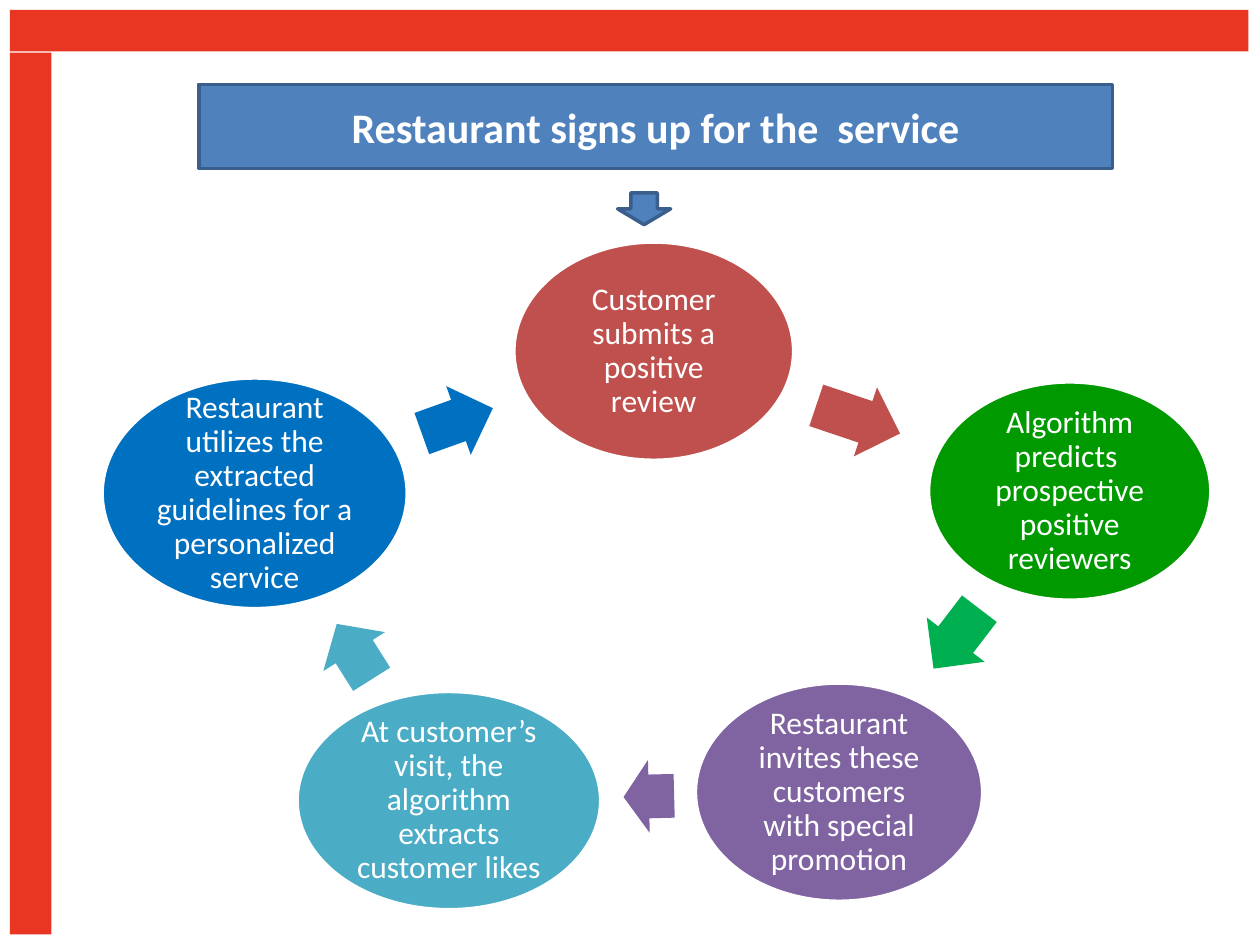
from pptx import Presentation
from pptx.dml.color import RGBColor
from pptx.enum.shapes import MSO_SHAPE
from pptx.enum.text import MSO_ANCHOR, PP_ALIGN
from pptx.util import Cm, Pt

COLORS = {
    "frame": "E93623", "header": "4F81BD", "header_line": "3A5F8C",
    "white": "FFFFFF", "red": "C0504D", "green": "009900",
    "light_green": "00B050", "purple": "8064A2", "teal": "4BACC6",
    "blue": "0070C0",
}
FONT = "Calibri"
FRAME = [(0.2, 0.2, 24.97, 0.84), (0.2, 1.06, 0.84, 17.78)]
HEADER = "Restaurant signs up for the  service"
STEPS = [
    ("Customer submits a positive review", "red", (10.36, 4.88, 5.64, 4.4)),
    ("Algorithm predicts  prospective positive reviewers", "green",
     (18.72, 7.7, 5.69, 4.4)),
    ("Restaurant invites these customers with special promotion", "purple",
     (14.02, 13.77, 5.79, 4.4)),
    ("At customer’s visit, the algorithm extracts customer likes", "teal",
     (5.99, 13.94, 6.12, 4.4)),
    ("Restaurant utilizes the extracted guidelines for a personalized service",
     "blue", (2.06, 7.62, 6.15, 4.65)),
]
ARROW_HEIGHT = 1.47
ARROWS = [
    ("red", 16.41, 7.72, 1.78, 18.6),
    ("light_green", 18.52, 12.14, 1.52, 127.4),
    ("purple", 12.57, 15.32, 1.02, 178.6),
    ("teal", 6.48, 12.4, 1.32, 237.8),
    ("blue", 8.46, 7.75, 1.52, 340.3),
]


def rgb(name):
    return RGBColor.from_string(COLORS[name])


def add_shape(shapes, kind, box, fill, line=None):
    sp = shapes.add_shape(kind, *map(Cm, box))
    sp.shadow.inherit = False
    sp.fill.solid()
    sp.fill.fore_color.rgb = rgb(fill)
    if line:
        sp.line.color.rgb = rgb(line)
        sp.line.width = Pt(2)
    else:
        sp.line.fill.background()
    return sp


def add_text(sp, text, size, bold=False):
    tf = sp.text_frame
    tf.word_wrap = True
    tf.vertical_anchor = MSO_ANCHOR.MIDDLE
    p = tf.paragraphs[0]
    p.alignment = PP_ALIGN.CENTER
    r = p.add_run()
    r.text = text
    r.font.name = FONT
    r.font.size = Pt(size)
    r.font.bold = bold
    r.font.color.rgb = rgb("white")
    return tf


def add_step(shapes, text, color, box):
    sp = add_shape(shapes, MSO_SHAPE.OVAL, box, color, "white")
    tf = add_text(sp, text, 18)
    tf.margin_left = tf.margin_right = Cm(0.08)
    tf.margin_top = tf.margin_bottom = Cm(0.08)
    tf.paragraphs[0].line_spacing = 0.9


def add_arrow(shapes, color, left, top, length, angle):
    box = (left, top, length, ARROW_HEIGHT)
    sp = add_shape(shapes, MSO_SHAPE.RIGHT_ARROW, box, color)
    sp.adjustments[0] = 0.6
    sp.adjustments[1] = 0.5
    sp.rotation = angle


def main():
    prs = Presentation()
    prs.slide_width, prs.slide_height = Cm(25.4), Cm(19.05)
    slide = prs.slides.add_slide(prs.slide_layouts[6])

    for box in FRAME:
        add_shape(slide.shapes, MSO_SHAPE.RECTANGLE, box, "frame")

    cycle = slide.shapes.add_group_shape()
    for step, arrow in zip(STEPS, ARROWS):
        add_step(cycle.shapes, *step)
        add_arrow(cycle.shapes, *arrow)

    add_shape(slide.shapes, MSO_SHAPE.DOWN_ARROW, (12.45, 3.89, 1.07, 0.64),
              "header", "header_line")
    header = add_shape(slide.shapes, MSO_SHAPE.RECTANGLE,
                       (4.01, 1.7, 18.42, 1.7), "header", "header_line")
    add_text(header, HEADER, 24, bold=True)

    prs.save("out.pptx")


if __name__ == "__main__":
    main()
